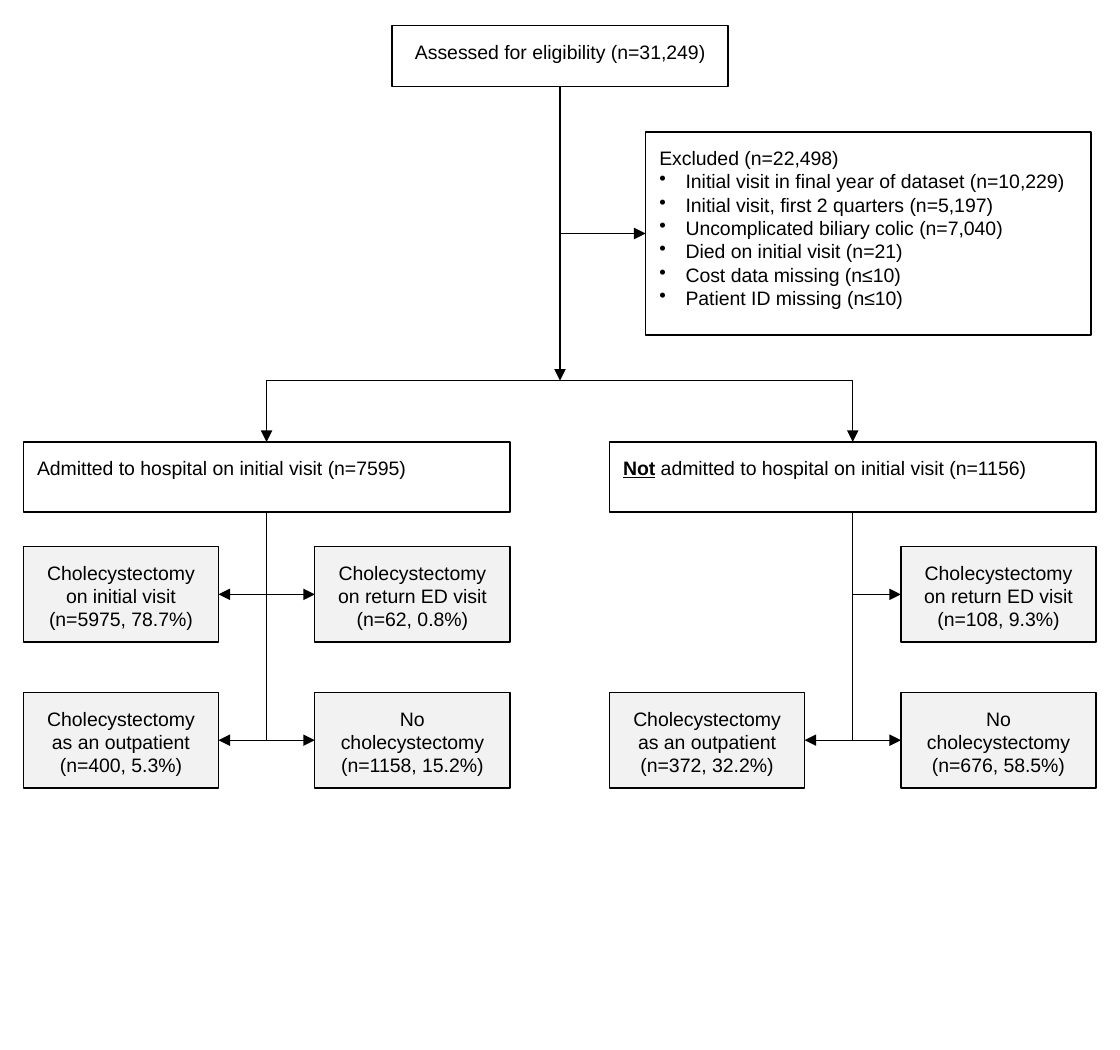
from lxml import etree
from pptx import Presentation
from pptx.dml.color import RGBColor
from pptx.enum.shapes import MSO_CONNECTOR, MSO_SHAPE
from pptx.enum.text import MSO_ANCHOR, PP_ALIGN
from pptx.oxml.ns import qn
from pptx.util import Pt

RECT = MSO_SHAPE.RECTANGLE
LINE, ELBOW = MSO_CONNECTOR.STRAIGHT, MSO_CONNECTOR.ELBOW
LEFT, MID, TOP = PP_ALIGN.LEFT, PP_ALIGN.CENTER, MSO_ANCHOR.TOP


def color(code):
    return RGBColor.from_string(code)


def write(para, text, font="Arial", size=10, ink="000000", bold=False,
          under=False, align=LEFT, bullet=False):
    """Add one run to a paragraph."""
    para.alignment = align
    run = para.add_run()
    run.text = text
    style = run.font
    style.name, style.size = font, Pt(size)
    style.bold, style.underline = bold, under
    style.color.rgb = color(ink)
    if bullet:
        props = para._p.get_or_add_pPr()
        props.set("marL", str(Pt(13.5)))
        props.set("indent", str(Pt(-13.5)))
        etree.SubElement(props, qn("a:buChar")).set("char", "•")


class Chart:
    ink, white, gray = "000000", "FFFFFF", "F2F2F2"
    thick, thin, inset = 0.75, 0.5, 7.2

    def __init__(self, slide):
        self.slide = slide

    def box(self, x, y, w, h, text="", fill=white, align=LEFT):
        shape = self.slide.shapes.add_shape(RECT, Pt(x), Pt(y), Pt(w), Pt(h))
        shape.shadow.inherit = False
        shape.fill.solid()
        shape.fill.fore_color.rgb = color(fill)
        shape.line.color.rgb = color(self.ink)
        shape.line.width = Pt(self.thick)
        frame = shape.text_frame
        frame.word_wrap, frame.vertical_anchor = True, TOP
        frame.margin_left = frame.margin_right = Pt(self.inset)
        frame.margin_top = frame.margin_bottom = Pt(self.inset)
        if text:
            write(frame.paragraphs[0], text, align=align)
        return shape

    def arrow(self, kind, x1, y1, x2, y2, width=thick):
        link = self.slide.shapes.add_connector(kind, Pt(x1), Pt(y1), Pt(x2), Pt(y2))
        link.line.color.rgb = color(self.ink)
        link.line.width = Pt(width)
        etree.SubElement(link.line._get_or_add_ln(), qn("a:tailEnd")).set("type", "triangle")
        props = link._element.spPr
        etree.SubElement(props, qn("a:effectLst"))
        if kind == ELBOW:
            props.find(qn("a:prstGeom")).set("prst", "bentConnector2")
        return link

    def drop(self, x1, y1, x2, y2):
        """Go down first, then sideways: a corner turned by 90 degrees."""
        midx, midy = (x1 + x2) / 2, (y1 + y2) / 2
        side = 1 if x2 > x1 else -1
        dx, dy = side * (y2 - y1) / 2, abs(x2 - x1) / 2
        link = self.arrow(ELBOW, midx + dx, midy - dy, midx - dx, midy + dy, self.thin)
        turn = 270 if side > 0 else 90
        link._element.spPr.find(qn("a:xfrm")).set("rot", str(turn * 60000))


# Layout
AXIS, FORK = 288, 195.8
WIDE, HEAD, HIGH = 250.3, 227.3, 36.1
CELL, TALL = 100.4, 49
COLS, ROWS = (0, WIDE - CELL), (281.2, 356.2)
REASONS = [
    "Initial visit in final year of dataset (n=10,229)",
    "Initial visit, first 2 quarters (n=5,197)",
    "Uncomplicated biliary colic (n=7,040)",
    "Died on initial visit (n=21)",
    "Cost data missing (n≤10)",
    "Patient ID missing (n≤10)",
]
# Each arm: left edge, heading parts, outcomes as (column, row, text)
ARMS = [
    (12, [("Admitted to hospital on initial visit (n=7595)", False)], [
        (0, 0, "Cholecystectomy on initial visit (n=5975, 78.7%)"),
        (1, 0, "Cholecystectomy on return ED visit (n=62, 0.8%)"),
        (0, 1, "Cholecystectomy as an outpatient (n=400, 5.3%)"),
        (1, 1, "No cholecystectomy (n=1158, 15.2%)")]),
    (313.4, [("Not", True), (" admitted to hospital on initial visit (n=1156)", False)], [
        (1, 0, "Cholecystectomy on return ED visit (n=108, 9.3%)"),
        (0, 1, "Cholecystectomy as an outpatient (n=372, 32.2%)"),
        (1, 1, "No cholecystectomy (n=676, 58.5%)")]),
]


def main():
    deck = Presentation()
    deck.slide_width, deck.slide_height = Pt(576), Pt(540)
    chart = Chart(deck.slides.add_slide(deck.slide_layouts[6]))

    # Eligibility and exclusions
    start = chart.box(AXIS - 86.4, 13.2, 172.8, 31.2,
                      "Assessed for eligibility (n=31,249)", align=MID)
    out = chart.box(332, 67.9, 229, 104.4, "Excluded (n=22,498)")
    for reason in REASONS:
        write(out.text_frame.add_paragraph(), reason, bullet=True)
    chart.arrow(LINE, AXIS, 44.4, AXIS, FORK).begin_connect(start, 2)
    chart.arrow(LINE, AXIS, 120.1, 332, 120.1).end_connect(out, 1)

    # Two arms with their outcomes
    for left, parts, cells in ARMS:
        stem = left + WIDE / 2
        head = chart.box(left, HEAD, WIDE, HIGH)
        for text, strong in parts:
            write(head.text_frame.paragraphs[0], text, bold=strong, under=strong)
        lap = 19.5 if stem < AXIS else -19.5
        chart.arrow(ELBOW, AXIS + lap, FORK, stem, HEAD)
        for col, row, text in cells:
            x, y = left + COLS[col], ROWS[row]
            chart.box(x, y, CELL, TALL, text, chart.gray, MID)
            edge = x if col else x + CELL
            chart.drop(stem, HEAD + HIGH, edge, y + TALL / 2)

    deck.save("out.pptx")


if __name__ == "__main__":
    main()
